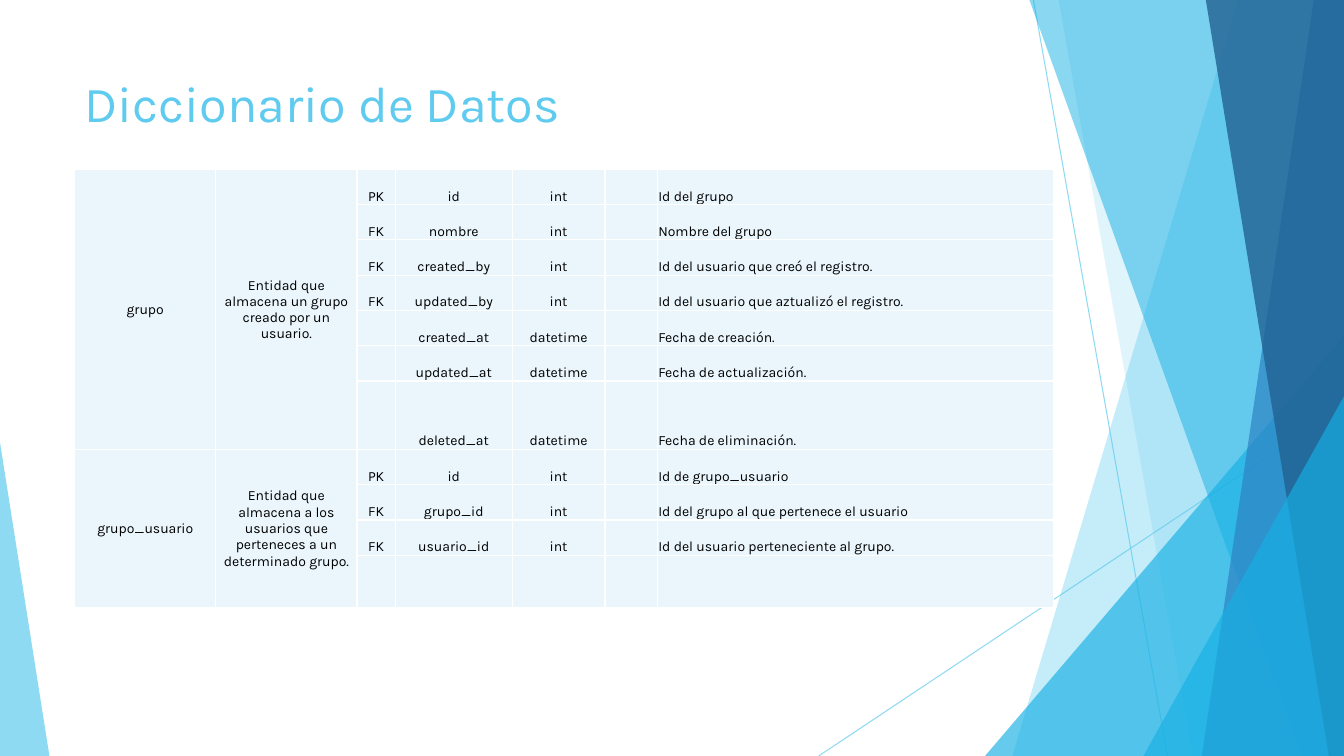
from dataclasses import dataclass

from lxml.etree import SubElement
from pptx import Presentation
from pptx.dml.color import RGBColor
from pptx.enum.shapes import MSO_CONNECTOR, MSO_SHAPE
from pptx.enum.text import MSO_ANCHOR, PP_ALIGN
from pptx.oxml import parse_xml
from pptx.oxml.ns import nsdecls, qn
from pptx.util import Pt

PX = 9144  # 100 px to the inch
WIDE, HIGH = 1333, 750


@dataclass(frozen=True)
class Theme:
    font: str = "Karla"
    title: int = 36
    body: int = 10
    sky: str = "5FCBEF"
    cyan: str = "17B0E4"
    blue: str = "2E83C3"
    navy: str = "226292"
    ice: str = "EAF6FC"
    ink: str = "000000"
    white: str = "FFFFFF"


THEME = Theme()

COLS = [140, 140, 38, 116, 92, 52, 393]
ROW, TALL, LAST = 35, 67, 52
# Entity, description, then fields: key, name, type, meaning
GROUPS = [
    ("grupo", "Entidad que almacena un grupo creado por un usuario.", [
        ("PK", "id", "int", "Id del grupo"),
        ("FK", "nombre", "int", "Nombre del grupo"),
        ("FK", "created_by", "int", "Id del usuario que creó el registro."),
        ("FK", "updated_by", "int", "Id del usuario que aztualizó el registro."),
        ("", "created_at", "datetime", "Fecha de creación."),
        ("", "updated_at", "datetime", "Fecha de actualización."),
        ("", "deleted_at", "datetime", "Fecha de eliminación."),
    ]),
    ("grupo_usuario",
     "Entidad que almacena a los usuarios que perteneces a un determinado grupo.", [
         ("PK", "id", "int", "Id de grupo_usuario"),
         ("FK", "grupo_id", "int", "Id del grupo al que pertenece el usuario"),
         ("FK", "usuario_id", "int", "Id del usuario perteneciente al grupo."),
         ("", "", "", ""),
     ]),
]


def px(*sizes):
    return [size * PX for size in sizes]


def fade(fill, alpha):
    """Give a solid fill its opacity in percent."""
    color = fill._xPr.find(qn("a:solidFill"))[0]
    SubElement(color, qn("a:alpha")).set("val", str(alpha * 1000))


def paint(shape, color, alpha):
    shape.shadow.inherit = False
    shape.fill.solid()
    shape.fill.fore_color.rgb = RGBColor.from_string(color)
    fade(shape.fill, alpha)
    shape.line.fill.background()


def style(para, size, color, align=PP_ALIGN.LEFT):
    para.alignment = align
    para.font.name = THEME.font
    para.font.size = Pt(size)
    para.font.color.rgb = RGBColor.from_string(color)


def add_ray(slide, *ends):
    ray = slide.shapes.add_connector(MSO_CONNECTOR.STRAIGHT, *px(*ends))
    ray.line.width = Pt(0.75)
    ray.line.color.rgb = RGBColor.from_string(THEME.sky)
    fade(ray.line.fill, 70)
    SubElement(ray._element.spPr, qn("a:effectLst"))


def add_band(slide, box, top, foot, color, alpha):
    """Fill from a slanted left edge, top to foot, up to the box's right side."""
    x, y, w, h = box
    form = slide.shapes.build_freeform(x + top, y, scale=PX)
    form.add_line_segments([(x + w, y), (x + w, y + h), (x + foot, y + h)])
    paint(form.convert_to_shape(), color, alpha)


def add_peak(slide, box, tip, color, alpha):
    """Draw a triangle whose tip lies at 0 (left) to 1 (right)."""
    peak = slide.shapes.add_shape(MSO_SHAPE.ISOSCELES_TRIANGLE, *px(*box))
    peak.adjustments[0] = tip
    paint(peak, color, alpha)


def add_decor(slide, box):
    x, y, w, h = box
    right, base = x + w, y + h

    def corner(wide, high):
        add_peak(slide, (right - wide, base - high, wide, high), 1, THEME.cyan, 66)

    add_ray(slide, x + 1025, y, x + 1158, base)
    add_ray(slide, right, y + 403, x + 812, base)
    add_band(slide, box, 1228, 1004, THEME.sky, 36)
    add_band(slide, box, 1050, 1183, THEME.sky, 20)
    corner(356, 417)
    add_band(slide, box, 1021, 1291, THEME.cyan, 50)
    add_band(slide, box, 1303, 1192, THEME.blue, 70)
    add_band(slide, box, 1196, 1318, THEME.navy, 80)
    corner(199, 357)
    add_peak(slide, (x, base - 311, 49, 311), 0, THEME.sky, 70)


def add_title(slide, box, text):
    frame = slide.shapes.add_textbox(*px(*box)).text_frame
    frame.word_wrap = True
    frame.text = text
    style(frame.paragraphs[0], THEME.title, THEME.sky)


def edge(cell):
    """Draw thin white borders; they must come before the cell's fill."""
    props = cell._tc.get_or_add_tcPr()
    for spot, side in enumerate(("lnL", "lnR", "lnT", "lnB")):
        props.insert(spot, parse_xml(
            f'<a:{side} {nsdecls("a")} w="12700"><a:solidFill>'
            f'<a:srgbClr val="{THEME.white}"/></a:solidFill></a:{side}>'))


def fill_cell(cell, text, anchor, align):
    cell.fill.solid()
    cell.fill.fore_color.rgb = RGBColor.from_string(THEME.ice)
    edge(cell)
    cell.margin_left = cell.margin_right = cell.margin_top = PX
    cell.margin_bottom = 0
    cell.vertical_anchor = anchor
    cell.text = text
    style(cell.text_frame.paragraphs[0], THEME.body, THEME.ink, align)


def add_fields(slide, x, y):
    """Place the data dictionary, one merged block per entity."""
    count = sum(len(fields) for *_, fields in GROUPS)
    rows = [ROW] * count
    rows[len(GROUPS[0][2]) - 1] = TALL
    rows[-1] = LAST
    table = slide.shapes.add_table(
        count, len(COLS), *px(x, y, sum(COLS), sum(rows))).table
    table.first_row = table.horz_banding = False
    for col, wide in zip(table.columns, COLS):
        col.width = wide * PX
    for row, high in zip(table.rows, rows):
        row.height = high * PX

    top = 0
    for name, about, fields in GROUPS:
        for step, (key, field, kind, note) in enumerate(fields):
            heads = (name, about) if step == 0 else ("", "")
            for col, text in enumerate((*heads, key, field, kind, "", note)):
                anchor = MSO_ANCHOR.MIDDLE if col < 2 else MSO_ANCHOR.BOTTOM
                align = PP_ALIGN.LEFT if col == 6 else PP_ALIGN.CENTER
                fill_cell(table.cell(top + step, col), text, anchor, align)
        end = top + len(fields)
        for col in range(2):
            table.cell(top, col).merge(table.cell(end - 1, col))
        top = end


def main():
    deck = Presentation()
    deck.slide_width, deck.slide_height = px(WIDE, HIGH)
    slide = deck.slides.add_slide(deck.slide_layouts[6])
    add_decor(slide, (0, 0, WIDE, HIGH))
    add_title(slide, (74, 67, 940, 144), "Diccionario de Datos")
    add_fields(slide, 74, 168)
    deck.save("out.pptx")


if __name__ == "__main__":
    main()
